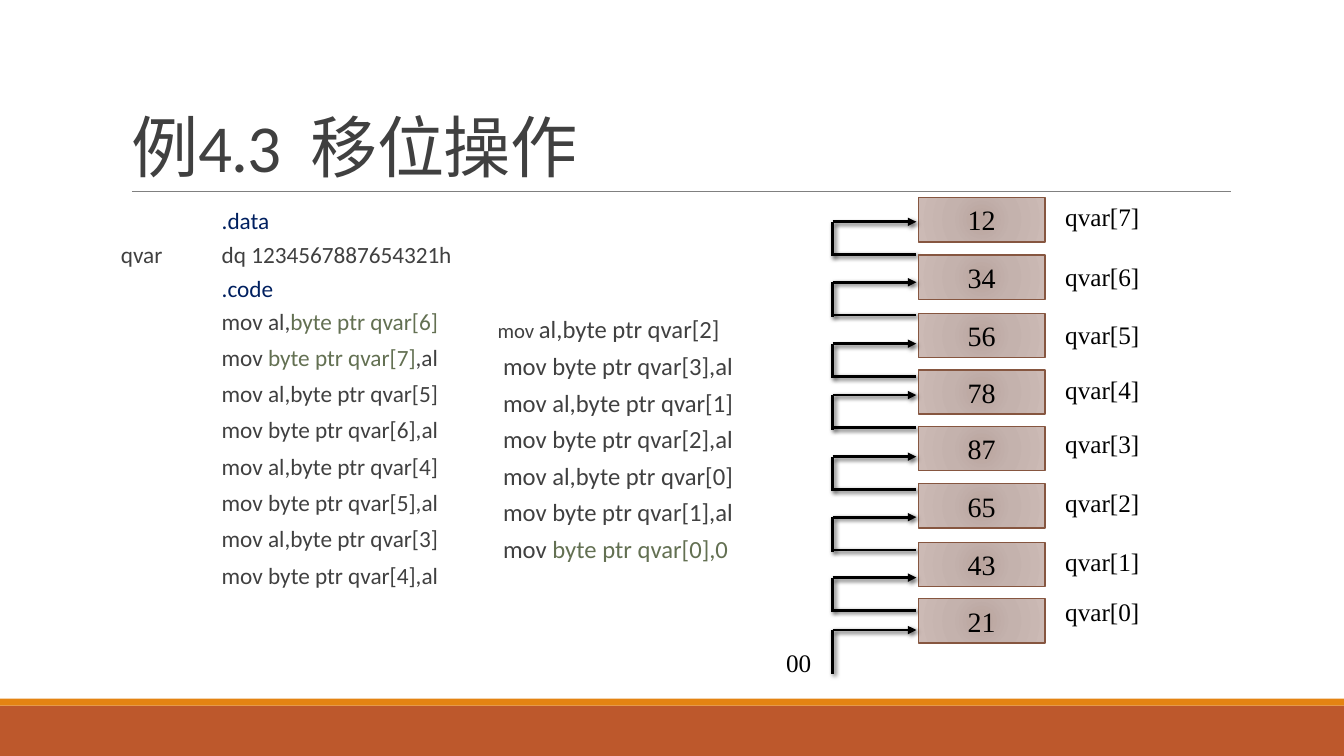
import pptx
import pptx.dml.color
import pptx.enum.shapes
import pptx.enum.text
import pptx.oxml
import pptx.util

Pt = pptx.util.Pt
RGB = pptx.dml.color.RGBColor.from_string
ALIGN = pptx.enum.text.PP_ALIGN
ANCHOR = pptx.enum.text.MSO_ANCHOR
RECTANGLE = pptx.enum.shapes.MSO_SHAPE.RECTANGLE
STRAIGHT = pptx.enum.shapes.MSO_CONNECTOR.STRAIGHT
NAMESPACE = 'xmlns:a="http://schemas.openxmlformats.org/drawingml/2006/main"'

THEME = {
    "text": "404040", "directive": "002060", "operand": "637052", "black": "000000",
    "band": "BD582C", "stripe": "E48312", "rule": "808080", "cell_line": "865640",
    "cell_stops": ((0, "B9A49E"), (45, "C4B2AD"), (100, "CCBAB5")),
    "sans": "Calibri", "serif": "Times New Roman",
    "title_size": 48, "left_size": 16.6, "right_size": 17.6, "small_size": 14.8,
    "cell_size": 20, "label_size": 18,
}


def write(paragraph, runs, font, size, **formats):
    """Fill a paragraph with (text, colour name[, size]) runs and set its format."""
    for name, value in formats.items():
        setattr(paragraph, name, value)
    for text, colour, *own_size in runs:
        run = paragraph.add_run()
        run.text = text
        run.font.name = THEME[font]
        run.font.size = Pt(THEME[own_size[0] if own_size else size])
        run.font.color.rgb = RGB(THEME[colour])


def add_line(start_x, start_y, end_x, end_y, colour, width, effect="", arrow=False):
    """Draw a straight line with an optional shadow and arrowhead."""
    line = slide.shapes.add_connector(STRAIGHT, Pt(start_x), Pt(start_y), Pt(end_x), Pt(end_y))
    line.line.color.rgb = RGB(THEME[colour])
    line.line.width = Pt(width)
    if arrow:
        line.line._get_or_add_ln().append(
            pptx.oxml.parse_xml(f'<a:tailEnd {NAMESPACE} type="triangle"/>'))
    line._element.spPr.append(
        pptx.oxml.parse_xml(f"<a:effectLst {NAMESPACE}>{effect}</a:effectLst>"))


presentation = pptx.Presentation()
presentation.slide_width, presentation.slide_height = Pt(960), Pt(540)
slide = presentation.slides.add_slide(presentation.slide_layouts[5])

# Footer bands and the rule under the title
for top, height, colour in ((504, 36, "band"), (499, 5, "stripe")):
    band = slide.shapes.add_shape(RECTANGLE, 0, Pt(top), Pt(960), Pt(height))
    band.shadow.inherit = False
    band.fill.solid()
    band.fill.fore_color.rgb = RGB(THEME[colour])
    band.line.fill.background()
add_line(94.3, 136.8, 879, 136.8, "rule", 0.5)

# Title
title = slide.shapes.title
title.left, title.top, title.width, title.height = Pt(86.4), Pt(22.3), Pt(792), Pt(114.5)
title.text_frame.vertical_anchor = ANCHOR.BOTTOM
title.text_frame.auto_size = pptx.enum.text.MSO_AUTO_SIZE.NONE
title_paragraph = title.text_frame.paragraphs[0]
write(title_paragraph, [("例4.3  移位操作", "text")], "sans", "title_size",
      alignment=ALIGN.LEFT, line_spacing=0.85)
title_paragraph.runs[0].font._element.set("spc", "-50")

# Code listings
left_code = [
    [("\t", "text"), (".data", "directive")],
    [("qvar\tdq 1234567887654321h", "text")],
    [("\t", "text"), (".code", "directive")],
    [("\tmov al,", "text"), ("byte ptr qvar[6]", "operand")],
    [("\tmov ", "text"), ("byte ptr qvar[7]", "operand"), (",al", "text")],
]
right_code = [[(" mov ", "text", "small_size"), ("al,byte ptr qvar[2]", "text")],
              [("\tmov byte ptr qvar[3],al", "text")]]
for code, indexes in ((left_code, (5, 4, 3)), (right_code, (1, 0))):
    for index in indexes:
        code.append([(f"\tmov al,byte ptr qvar[{index}]", "text")])
        code.append([(f"\tmov byte ptr qvar[{index + 1}],al", "text")])
right_code.append([("\tmov ", "text"), ("byte ptr qvar[0],0", "operand")])

listings = (
    (left_code, (86.4, 151.2, 468, 336.2), "left_size",
     {"space_before": Pt(12)}),
    (right_code, (352.1, 221, 202.3, 200.2), "right_size",
     {"space_before": Pt(3), "space_after": Pt(2), "alignment": ALIGN.JUSTIFY}),
)
for code, place, size, formats in listings:
    frame = slide.shapes.add_textbox(*map(Pt, place)).text_frame
    frame.word_wrap = True
    frame.margin_left = frame.margin_right = 0
    for number, runs in enumerate(code):
        paragraph = frame.paragraphs[0] if number == 0 else frame.add_paragraph()
        write(paragraph, runs, "sans", size, **formats)
        properties = paragraph._p.get_or_add_pPr()
        if code is left_code:
            paragraph.line_spacing = 0.6 if number < 4 else 0.7
            properties.append(pptx.oxml.parse_xml(
                f'<a:tabLst {NAMESPACE}><a:tab pos="{Pt(72)}" algn="l"/></a:tabLst>'))
        else:
            properties.set("marL", str(Pt(7.2)))
            properties.set("indent", str(-Pt(7.2)))

# Memory cells: value, cell top, label top, arrow height
cells = (
    ("12", 141.1, 140.4, 158.4),
    ("34", 182.2, 182.9, 201.6),
    ("56", 223.9, 224.6, 245.5),
    ("78", 264.2, 263.5, 282.2),
    ("87", 304.6, 302.4, 326.2),
    ("65", 345.6, 344.9, 369.4),
    ("43", 387.4, 386.6, 412.6),
    ("21", 427.7, 422.6, 450),
)
stops = "".join(f'<a:gs pos="{position * 1000}"><a:srgbClr val="{colour}"/></a:gs>'
                for position, colour in THEME["cell_stops"])
gradient = (f'<a:gradFill {NAMESPACE}><a:gsLst>{stops}</a:gsLst><a:path path="circle">'
            '<a:fillToRect l="100000" t="100000" r="100000" b="100000"/></a:path></a:gradFill>')
shadow = (f'<a:outerShdw blurRad="{Pt(3)}" dist="{Pt(2)}" dir="2700000">'
          '<a:srgbClr val="000000"><a:alpha val="60000"/></a:srgbClr></a:outerShdw>')
labels = [("00", 554.4, 458.6, 33.8)]
for number, (value, cell_top, label_top, arrow_y) in enumerate(cells):
    cell = slide.shapes.add_shape(RECTANGLE, Pt(655.9), Pt(cell_top), Pt(90.7), Pt(31.7))
    cell.shadow.inherit = False
    cell.line.color.rgb = RGB(THEME["cell_line"])
    cell.line.width = Pt(1)
    cell._element.spPr.insert(2, pptx.oxml.parse_xml(gradient))
    cell.text_frame.vertical_anchor = ANCHOR.MIDDLE
    write(cell.text_frame.paragraphs[0], [(value, "black")], "serif", "cell_size",
          alignment=ALIGN.CENTER)
    labels.append((f"qvar[{7 - number}]", 753.8, label_top, 102.2))

    # Each byte moves up one cell; 00 enters the lowest one
    is_lowest = number == len(cells) - 1
    add_line(594.7, arrow_y, 594.7, arrow_y + (31.7 if is_lowest else 24.8), "black", 2, shadow)
    add_line(594.7, arrow_y, 654.5, arrow_y, "black", 2, shadow, arrow=True)
    if not is_lowest:
        add_line(594.7, arrow_y + 23.4, 654.5, arrow_y + 23.4, "black", 2, shadow)

# Labels
for text, left, top, width in labels:
    label = slide.shapes.add_textbox(Pt(left), Pt(top), Pt(width), Pt(28.8))
    label.text_frame.word_wrap = True
    write(label.text_frame.paragraphs[0], [(text, "black")], "serif", "label_size")

presentation.save("out.pptx")
